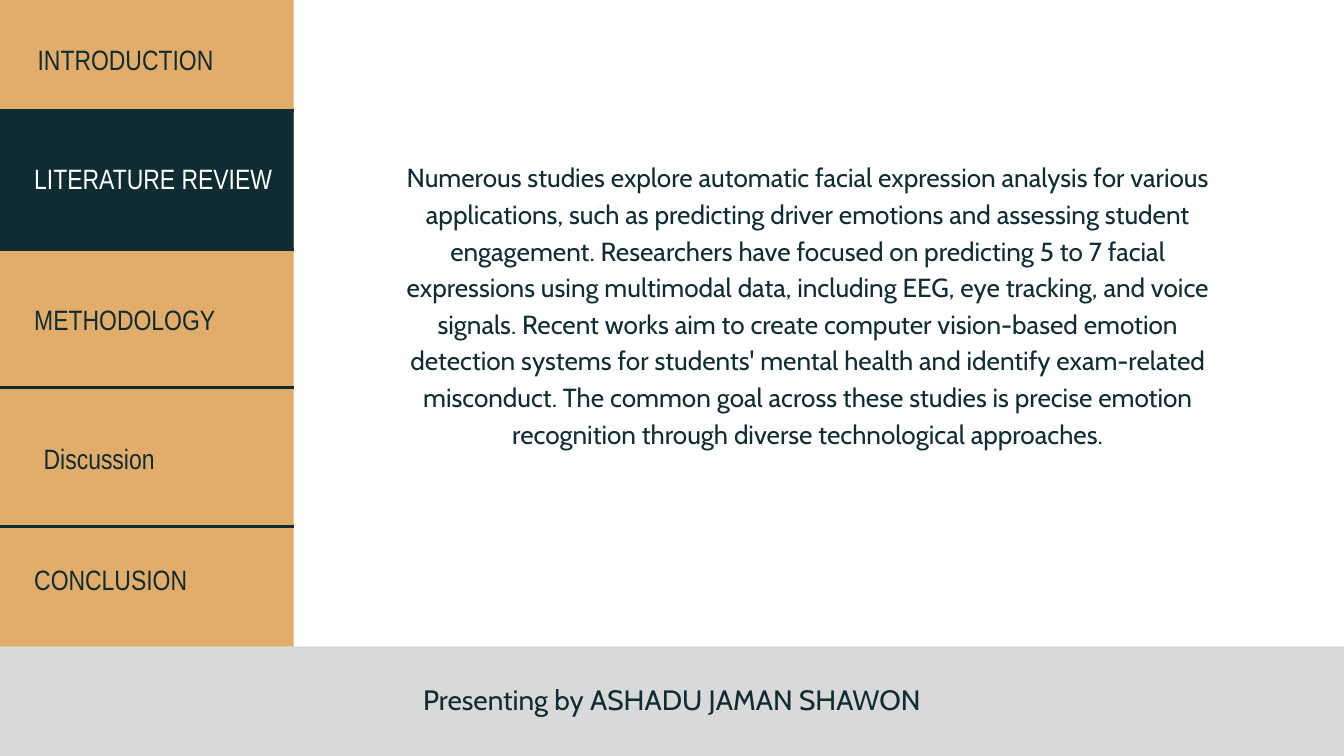
import pptx
import pptx.dml.color
import pptx.enum.shapes
import pptx.enum.text
import pptx.util
from pptx.util import Inches
import lxml.etree

SAND = pptx.dml.color.RGBColor(0xE2, 0xAD, 0x6B)
GREY = pptx.dml.color.RGBColor(0xD9, 0xD9, 0xD9)
NAVY = pptx.dml.color.RGBColor(0x0F, 0x2C, 0x33)
WHITE = pptx.dml.color.RGBColor(0xFF, 0xFF, 0xFF)
LEFT = pptx.enum.text.PP_ALIGN.LEFT
CENTER = pptx.enum.text.PP_ALIGN.CENTER
SIDEBAR_WIDTH = 4.37
DIVIDER_TOP = 1.65
DIVIDER_STEP = 2.06

presentation = pptx.Presentation()
presentation.slide_width = Inches(20)
presentation.slide_height = Inches(11.25)
slide = presentation.slides.add_slide(presentation.slide_layouts[6])
slide.background.fill.solid()
slide.background.fill.fore_color.rgb = WHITE


def add_panel(left, top, width, height, color):
    shape = slide.shapes.add_shape(
        pptx.enum.shapes.MSO_SHAPE.RECTANGLE,
        Inches(left), Inches(top), Inches(width), Inches(height))
    shape.shadow.inherit = False
    shape.fill.solid()
    shape.fill.fore_color.rgb = color
    shape.line.fill.background()


def add_text(text, left, top, width, height, font, size, spacing, color, alignment):
    shape = slide.shapes.add_textbox(
        Inches(left), Inches(top), Inches(width), Inches(height))
    text_frame = shape.text_frame
    text_frame.margin_left = text_frame.margin_right = 0
    text_frame.margin_top = text_frame.margin_bottom = 0
    text_frame.word_wrap = True
    text_frame.auto_size = pptx.enum.text.MSO_AUTO_SIZE.SHAPE_TO_FIT_TEXT
    text_frame.text = text
    paragraph = text_frame.paragraphs[0]
    paragraph.alignment = alignment
    paragraph.line_spacing = pptx.util.Pt(spacing)
    run = paragraph.runs[0]
    run.font.name = font
    run.font.size = pptx.util.Pt(size)
    run.font.color.rgb = color


add_panel(0, 0, SIDEBAR_WIDTH, 11.98, SAND)
add_panel(-0.63, 9.62, 21.84, 2.04, GREY)
add_panel(-0.56, 1.67, 4.93, 2.06, NAVY)

for index in range(4):
    top = Inches(DIVIDER_TOP + index * DIVIDER_STEP)
    divider = slide.shapes.add_connector(
        pptx.enum.shapes.MSO_CONNECTOR.STRAIGHT, 0, top, Inches(SIDEBAR_WIDTH), top)
    divider.line.color.rgb = NAVY
    divider.line.width = pptx.util.Pt(3)
    lxml.etree.SubElement(divider._element.spPr, pptx.oxml.ns.qn("a:effectLst"))

sections = [
    ("INTRODUCTION", 0.56, 0.55, 5.63, NAVY),
    ("LITERATURE REVIEW", 0.51, 2.32, 5.63, WHITE),
    ("METHODOLOGY", 0.51, 4.42, 5.63, NAVY),
    ("Discussion", 0.65, 6.48, 4.31, NAVY),
    ("CONCLUSION", 0.51, 8.29, 5.63, NAVY),
]
for title, left, top, width, color in sections:
    add_text(title, left, top, width, 0.57, "Arial Narrow", 30, 42, color, LEFT)

review = (
    "Numerous studies explore automatic facial expression analysis for various "
    "applications, such as predicting driver emotions and assessing student "
    "engagement. Researchers have focused on predicting 5 to 7 facial "
    "expressions using multimodal data, including EEG, eye tracking, and voice "
    "signals. Recent works aim to create computer vision-based emotion "
    "detection systems for students' mental health and identify exam-related "
    "misconduct. The common goal across these studies is precise emotion "
    "recognition through diverse technological approaches."
)
add_text(review, 5.89, 2.33, 12.25, 4.86, "Cabin", 28, 39.2, NAVY, CENTER)
add_text("Presenting by ASHADU JAMAN SHAWON", 0.56, 10.08, 18.88, 0.56,
         "Cabin", 30, 42, NAVY, CENTER)

presentation.save("out.pptx")
